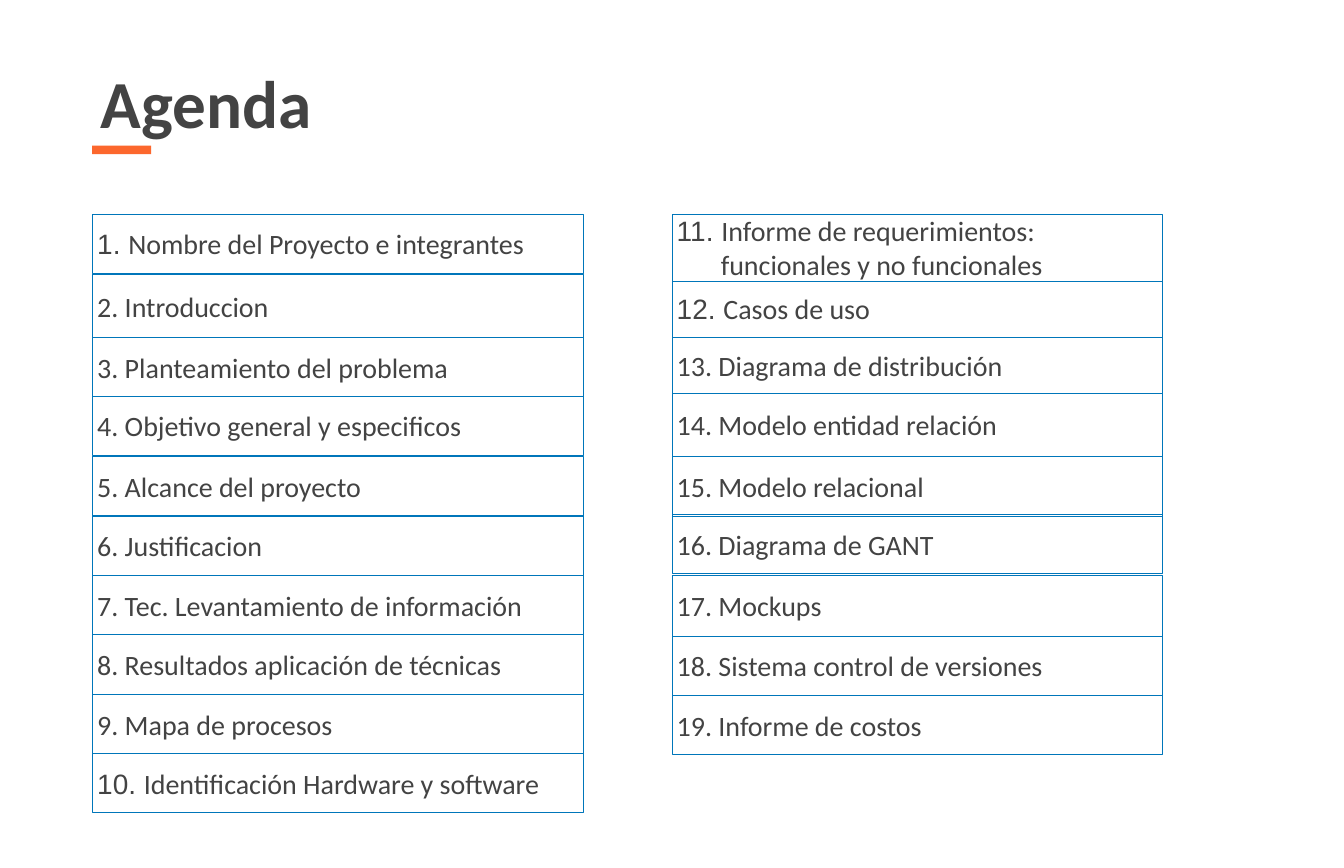
from dataclasses import dataclass

from pptx import Presentation
from pptx import util as u
from pptx.dml import color
from pptx.enum import shapes, text


@dataclass(frozen=True)
class Theme:
    ink: str = "434343"
    accent: str = "FC672D"
    border: str = "0076BA"
    body_font: str = "Calibri"
    number_font: str = "Arial"
    title_size: int = 96
    body_size: int = 40


theme = Theme()


def rgb(value):
    return color.RGBColor.from_string(value)


def add_text(paragraph, content, font=theme.body_font, size=theme.body_size,
             bold=False, align=text.PP_ALIGN.LEFT, indent=0):
    paragraph.alignment = align
    if indent:
        properties = paragraph._p.get_or_add_pPr()
        properties.set("marL", str(u.Cm(indent)))
        properties.set("indent", "0")
    run = paragraph.add_run()
    run.text = content
    run.font.name = font
    run.font.size = u.Pt(size)
    run.font.bold = bold
    run.font.color.rgb = rgb(theme.ink)


presentation = Presentation()
presentation.slide_width = u.Cm(67.74)
presentation.slide_height = u.Cm(43.74)
slide = presentation.slides.add_slide(presentation.slide_layouts[5])

# Title
title = slide.shapes.title
title.left, title.top = u.Cm(4.65), u.Cm(4.06)
title.width, title.height = u.Cm(11.51), u.Cm(3.28)
frame = title.text_frame
frame.auto_size = text.MSO_AUTO_SIZE.NONE
frame.word_wrap = False
frame.vertical_anchor = text.MSO_ANCHOR.BOTTOM
frame.margin_left = frame.margin_right = u.Cm(0.2)
frame.margin_top = frame.margin_bottom = u.Cm(0.2)
frame.paragraphs[0].line_spacing = 0.8
add_text(frame.paragraphs[0], "Agenda", size=theme.title_size, bold=True,
         align=text.PP_ALIGN.CENTER)

# Accent bar under the title
accent_bar = slide.shapes.add_shape(shapes.MSO_SHAPE.RECTANGLE, u.Cm(4.65),
                                    u.Cm(7.34), u.Cm(2.97), u.Cm(0.43))
accent_bar.shadow.inherit = False
accent_bar.fill.solid()
accent_bar.fill.fore_color.rgb = rgb(theme.accent)
accent_bar.line.fill.background()

# Agenda rows by column: top, height, lines of the topic
columns = {
    4.65: [
        (10.77, 3, ["Nombre del Proyecto e integrantes"]),
        (13.84, 3.17, ["Introduccion"]),
        (16.99, 3, ["Planteamiento del problema"]),
        (19.94, 3, ["Objetivo general y especificos"]),
        (22.99, 3, ["Alcance del proyecto"]),
        (25.98, 3, ["Justificacion"]),
        (28.98, 3, ["Tec. Levantamiento de información"]),
        (31.98, 3, ["Resultados aplicación de técnicas"]),
        (34.98, 3, ["Mapa de procesos"]),
        (37.95, 3, ["Identificación Hardware y software"]),
    ],
    33.86: [
        (10.77, 3.38, ["Informe de requerimientos:",
                       "funcionales y no funcionales"]),
        (14.15, 2.82, ["Casos de uso"]),
        (16.97, 2.84, ["Diagrama de distribución"]),
        (19.81, 3.18, ["Modelo entidad relación"]),
        (22.99, 3, ["Modelo relacional"]),
        (25.91, 3, ["Diagrama de GANT"]),
        (28.98, 3.07, ["Mockups"]),
        (32.05, 3, ["Sistema control de versiones"]),
        (35.03, 3, ["Informe de costos"]),
    ],
}
arial_numbers = {1, 10, 11, 12}

# Numbered boxes
number = 0
for left, rows in columns.items():
    for top, height, lines in rows:
        number += 1
        box = slide.shapes.add_shape(shapes.MSO_SHAPE.RECTANGLE, u.Cm(left),
                                     u.Cm(top), u.Cm(24.74), u.Cm(height))
        box.shadow.inherit = False
        box.fill.background()
        box.line.color.rgb = rgb(theme.border)
        box.line.width = u.Pt(0.5)
        frame = box.text_frame
        frame.word_wrap = True
        frame.vertical_anchor = text.MSO_ANCHOR.MIDDLE
        frame.margin_top = frame.margin_bottom = 0
        first = frame.paragraphs[0]
        if number in arial_numbers:
            add_text(first, f"{number}. ", font=theme.number_font)
            add_text(first, lines[0])
        else:
            add_text(first, f"{number}. {lines[0]}")
        for line in lines[1:]:
            add_text(frame.add_paragraph(), line, indent=2.22)

presentation.save("out.pptx")
